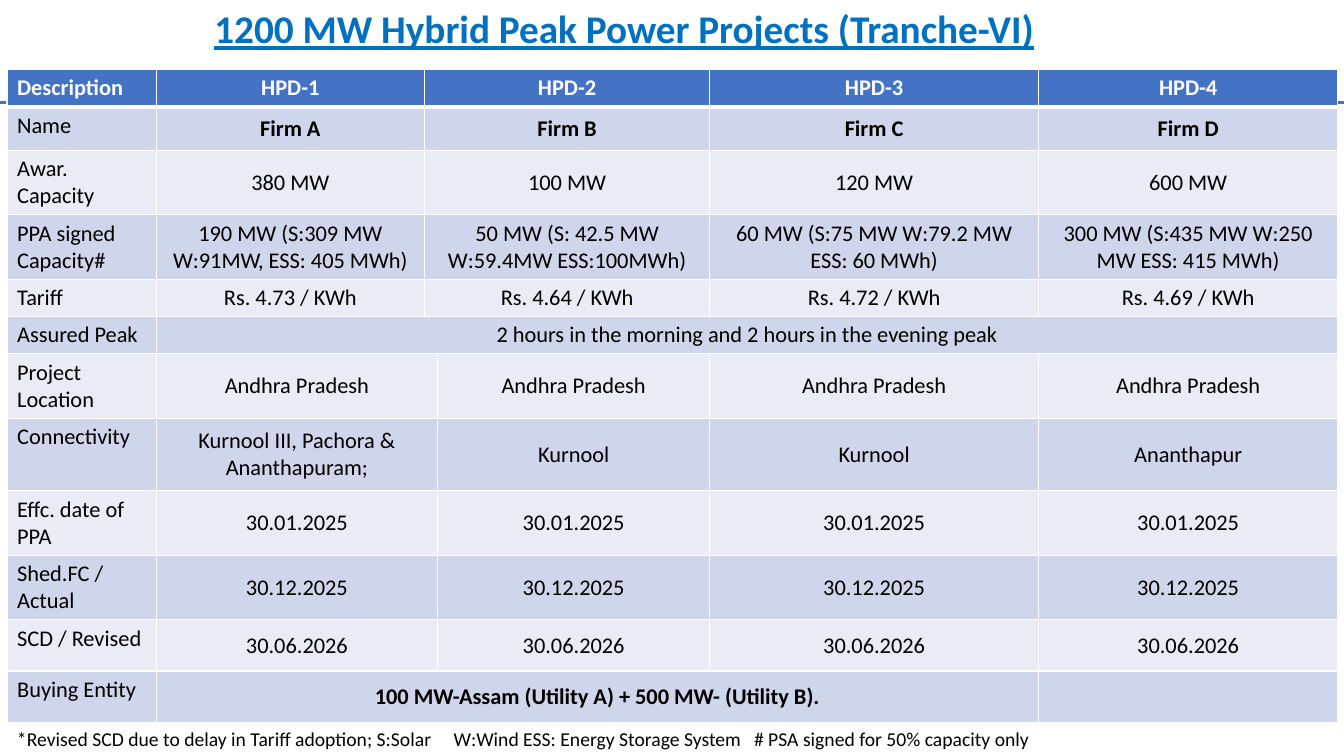
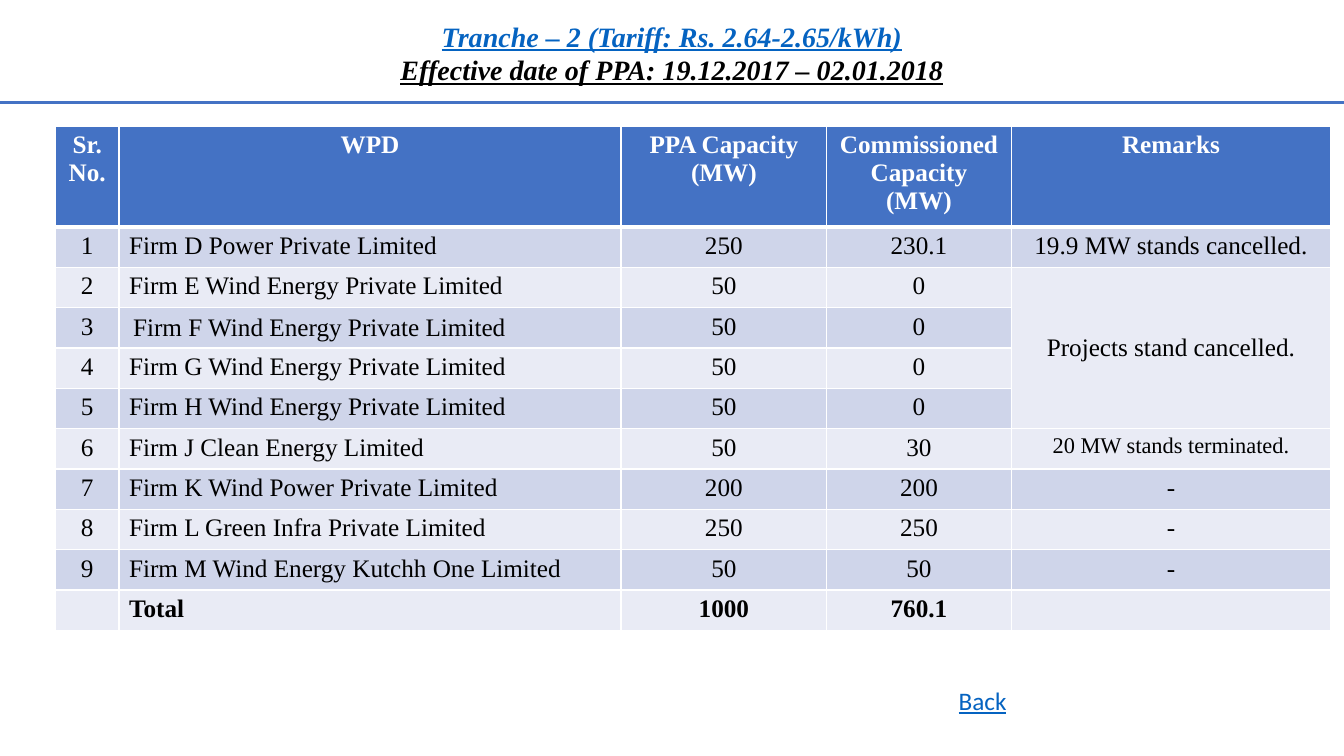
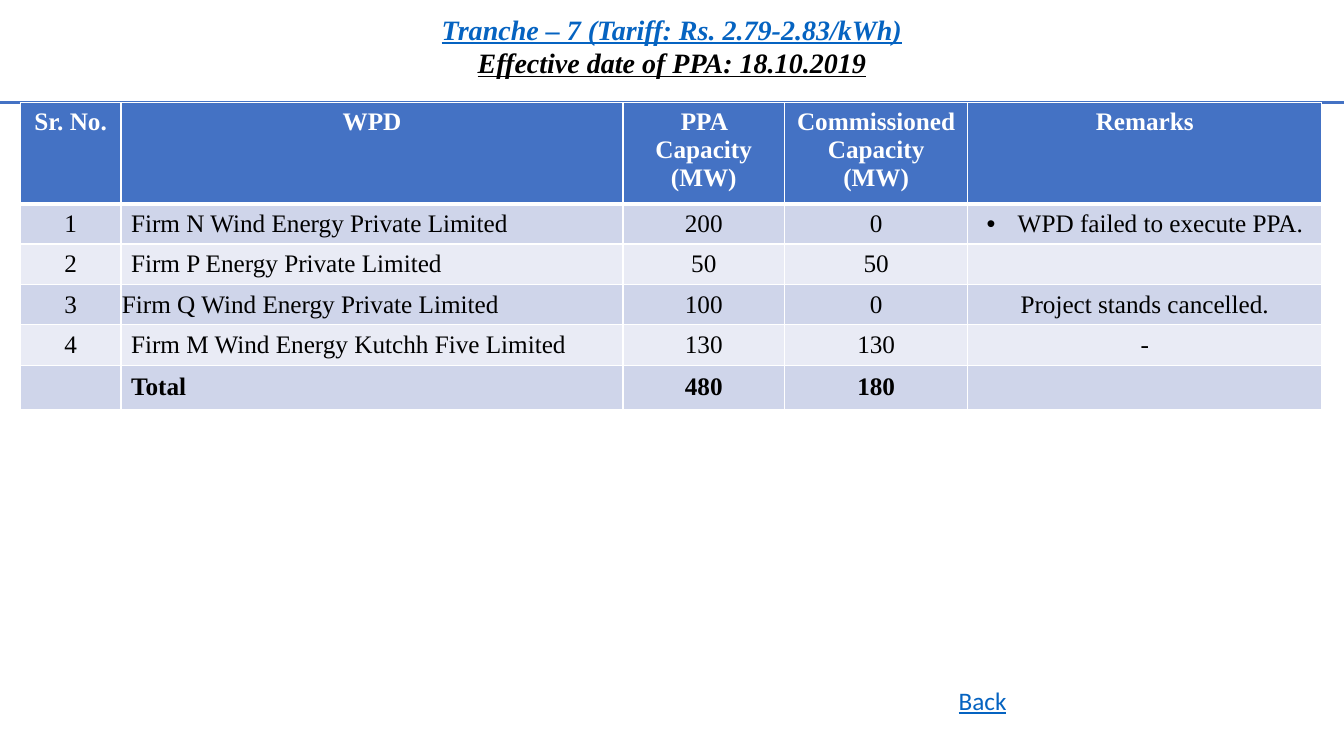
from dataclasses import dataclass, field

from lxml.etree import SubElement
from pptx import Presentation
from pptx.dml.color import RGBColor
from pptx.enum.shapes import MSO_CONNECTOR
from pptx.enum.text import MSO_ANCHOR, PP_ALIGN
from pptx.oxml import parse_xml
from pptx.oxml.ns import nsdecls, qn
from pptx.util import Inches, Pt


@dataclass(frozen=True)
class Theme:
    """Colours, fonts and type sizes shared by all slides."""

    accent: str = "4472C4"
    band_dark: str = "CFD5EA"
    band_light: str = "E9EBF5"
    white: str = "FFFFFF"
    ink: str = "000000"
    title: str = "0070C0"
    link: str = "0563C1"
    sans: str = "Calibri"
    serif: str = "Times New Roman"
    title_size: float = 28
    subtitle_size: float = 20
    large: float = 18
    medium: float = 16
    small: float = 14
    rule: float = 2.25
    grid: float = 1
    header_grid: float = 3


@dataclass
class TableLook:
    """Typography and alignment of one table."""

    font: str
    size: float
    left_column: int
    bold_rows: tuple
    anchor: MSO_ANCHOR
    left_anchor: MSO_ANCHOR
    header_anchor: MSO_ANCHOR = MSO_ANCHOR.TOP
    special: dict = field(default_factory=dict)


THEME = Theme()
SLIDE_WIDTH, SLIDE_HEIGHT = 13.33, 7.5
LEFT, UP = "<", "^"
BACK_BOX = (9.41, 6.75, 1.38, 0.4)

HYBRID_ROWS = [
    ["Description", "HPD-1", "HPD-2", LEFT, "HPD-3", "HPD-4"],
    ["Name", "Firm A", "Firm B", LEFT, "Firm C", "Firm D"],
    ["Awar. Capacity", "380 MW", "100 MW", LEFT, "120 MW", "600 MW"],
    ["PPA signed Capacity#", "190 MW (S:309 MW W:91MW, ESS: 405 MWh)",
     "50 MW (S: 42.5 MW W:59.4MW ESS:100MWh)", LEFT,
     "60 MW (S:75 MW W:79.2 MW ESS: 60 MWh)",
     "300 MW (S:435 MW W:250 MW ESS: 415 MWh)"],
    ["Tariff", "Rs. 4.73 / KWh", "Rs. 4.64 / KWh", LEFT, "Rs. 4.72 / KWh", "Rs. 4.69 / KWh"],
    ["Assured Peak", "2 hours in the morning and 2 hours in the evening peak"] + [LEFT] * 4,
    ["Project Location", "Andhra Pradesh", LEFT] + ["Andhra Pradesh"] * 3,
    ["Connectivity", "Kurnool III, Pachora & Ananthapuram;", LEFT, "Kurnool", "Kurnool", "Ananthapur"],
    ["Effc. date of PPA", "30.01.2025", LEFT] + ["30.01.2025"] * 3,
    ["Shed.FC / Actual", "30.12.2025", LEFT] + ["30.12.2025"] * 3,
    ["SCD / Revised", "30.06.2026", LEFT] + ["30.06.2026"] * 3,
    ["Buying Entity", "100 MW-Assam (Utility A) + 500 MW- (Utility B).", LEFT, LEFT, LEFT, ""],
]
WIND_HEADER = ["Sr. No.", "WPD", "PPA Capacity\n(MW)", "Commissioned Capacity\n(MW)", "Remarks"]
TRANCHE_2_ROWS = [
    WIND_HEADER,
    ["1", "Firm D Power Private Limited", "250", "230.1", "19.9 MW stands cancelled."],
    ["2", "Firm E Wind Energy Private Limited", "50", "0", "Projects stand cancelled."],
    ["3", "Firm F Wind Energy Private Limited", "50", "0", UP],
    ["4", "Firm G Wind Energy Private Limited", "50", "0", UP],
    ["5", "Firm H Wind Energy Private Limited", "50", "0", UP],
    ["6", "Firm J Clean Energy Limited", "50", "30", "20 MW stands terminated."],
    ["7", "Firm K Wind Power Private Limited", "200", "200", "-"],
    ["8", "Firm L Green Infra Private Limited", "250", "250", "-"],
    ["9", "Firm M Wind Energy Kutchh One Limited", "50", "50", "-"],
    ["", "Total", "1000", "760.1", ""],
]
TRANCHE_7_ROWS = [
    WIND_HEADER,
    ["1", "Firm N Wind Energy Private Limited", "200", "0", "WPD failed to execute PPA."],
    ["2", "Firm P Energy Private Limited", "50", "50", ""],
    ["3", "Firm Q Wind Energy Private Limited", "100", "0", "Project stands cancelled."],
    ["4", "Firm M Wind Energy Kutchh Five Limited", "130", "130", "-"],
    ["", "Total", "480", "180", ""],
]


def style_runs(paragraph, font, size, color, bold=False, italic=False, underline=False):
    """Format every run of a paragraph."""
    for run in paragraph.runs:
        run.font.name = font
        run.font.size = Pt(size)
        run.font.color.rgb = RGBColor.from_string(color)
        run.font.bold = bold
        run.font.italic = italic
        run.font.underline = underline


def add_text(slide, box, text, wrap=True):
    """Place a text box and return its text frame."""
    frame = slide.shapes.add_textbox(*map(Inches, box)).text_frame
    frame.word_wrap = wrap
    frame.text = text
    return frame


def add_bullet(paragraph, indent):
    """Give a paragraph a hanging round bullet."""
    properties = paragraph._p.get_or_add_pPr()
    properties.set("marL", str(Inches(indent)))
    properties.set("indent", str(-Inches(indent)))
    SubElement(properties, qn("a:buFont"), typeface="Arial")
    SubElement(properties, qn("a:buChar"), char="•")


def add_tabs(paragraph, stops):
    """Give a paragraph left tab stops."""
    tabs = SubElement(paragraph._p.get_or_add_pPr(), qn("a:tabLst"))
    for stop in stops:
        SubElement(tabs, qn("a:tab"), pos=str(Inches(stop)), algn="l")


def add_borders(cell, top, bottom):
    """Draw white borders around a cell."""
    widths = {"lnL": THEME.grid, "lnR": THEME.grid, "lnT": top, "lnB": bottom}
    properties = cell._tc.get_or_add_tcPr()
    for position, (edge, width) in enumerate(widths.items()):
        properties.insert(position, parse_xml(
            f'<a:{edge} {nsdecls("a")} w="{Pt(width)}"><a:solidFill>'
            f'<a:srgbClr val="{THEME.white}"/></a:solidFill></a:{edge}>'))


def merge_spans(table, rows):
    """Merge each cell with the LEFT and UP marks that follow it."""
    for r, row in enumerate(rows):
        for c, text in enumerate(row):
            if text in (LEFT, UP):
                continue
            last_row, last_column = r, c
            while last_column + 1 < len(row) and row[last_column + 1] == LEFT:
                last_column += 1
            while last_row + 1 < len(rows) and rows[last_row + 1][c] == UP:
                last_row += 1
            if (last_row, last_column) != (r, c):
                table.cell(r, c).merge(table.cell(last_row, last_column))


def fill_cell(cell, r, c, text, look):
    """Write and format one cell."""
    special = look.special.get((r, c), {})
    header = r == 0
    fill = THEME.accent if header else THEME.band_dark if r % 2 else THEME.band_light
    cell.fill.solid()
    cell.fill.fore_color.rgb = RGBColor.from_string(fill)
    add_borders(cell, THEME.header_grid if r == 1 else THEME.grid,
                THEME.header_grid if header else THEME.grid)
    if text in (LEFT, UP):
        return
    anchor = look.left_anchor if c == look.left_column else look.anchor
    cell.vertical_anchor = look.header_anchor if header else special.get("anchor", anchor)
    if "margin" in special:
        cell.margin_left = Inches(special["margin"])
    cell.text_frame.text = text
    align_left = c == look.left_column and (c == 0 or not header)
    for paragraph in cell.text_frame.paragraphs:
        paragraph.alignment = PP_ALIGN.LEFT if align_left else PP_ALIGN.CENTER
        if "bullet" in special:
            add_bullet(paragraph, special["bullet"])
        style_runs(paragraph, look.font, special.get("size", look.size),
                   THEME.white if header else THEME.ink,
                   bold=header or (r in look.bold_rows and c > 0))


def add_grid(slide, left, top, widths, heights, rows, look):
    """Place a banded table with the given column widths and row heights."""
    table = slide.shapes.add_table(
        len(rows), len(widths), Inches(left), Inches(top),
        Inches(sum(widths)), Inches(sum(heights))).table
    table.first_row = table.horz_banding = False
    for column, width in zip(table.columns, widths):
        column.width = Inches(width)
    for row, height in zip(table.rows, heights):
        row.height = Inches(height)
    merge_spans(table, rows)
    for r, row in enumerate(rows):
        for c, text in enumerate(row):
            fill_cell(table.cell(r, c), r, c, text, look)


def new_slide(deck):
    """Add a blank slide with the shared rule below the title."""
    slide = deck.slides.add_slide(deck.slide_layouts[6])
    rule = slide.shapes.add_connector(
        MSO_CONNECTOR.STRAIGHT, 0, Inches(1.02), Inches(SLIDE_WIDTH), Inches(1.02))
    rule.line.color.rgb = RGBColor.from_string(THEME.accent)
    rule.line.width = Pt(THEME.rule)
    SubElement(rule._element.spPr, qn("a:effectLst"))
    return slide


def add_hybrid_slide(deck):
    """Build the hybrid peak power slide."""
    slide = new_slide(deck)
    title = add_text(slide, (0.44, 0, 11.5, 0.62), "1200 MW Hybrid Peak Power Projects (Tranche-VI)")
    title.vertical_anchor = MSO_ANCHOR.MIDDLE
    heading = title.paragraphs[0]
    heading.alignment = PP_ALIGN.CENTER
    heading.line_spacing = 0.9
    style_runs(heading, THEME.sans, THEME.title_size, THEME.title, bold=True, underline=True)
    look = TableLook(THEME.sans, THEME.medium, 0, (1, 11),
                     MSO_ANCHOR.MIDDLE, MSO_ANCHOR.TOP, MSO_ANCHOR.MIDDLE)
    one_line, two_lines = 0.37, 0.64
    heights = [one_line, 0.43, two_lines, two_lines, one_line, one_line, two_lines,
               0.72, two_lines, two_lines, 0.51, 0.51]
    add_grid(slide, 0.07, 0.69, [1.48, 2.66, 0.13, 2.7, 3.26, 2.97], heights, HYBRID_ROWS, look)
    footnote = add_text(
        slide, (0.07, 7.16, 13.19, 0.34),
        "*Revised SCD due to delay in Tariff adoption; S:Solar\t"
        "W:Wind ESS: Energy Storage System\t# PSA signed for 50% capacity only").paragraphs[0]
    add_tabs(footnote, (4.33, 7.31))
    style_runs(footnote, THEME.sans, THEME.small, THEME.ink)


def add_wind_slide(deck, heading_box, tariff, date, wrap, origin, widths, heights, rows, look):
    """Build a wind tranche slide with heading, table and back label."""
    slide = new_slide(deck)
    heading = add_text(slide, heading_box, f"{tariff}\n{date}", wrap)
    for paragraph, color in zip(heading.paragraphs, (THEME.link, THEME.ink)):
        paragraph.alignment = PP_ALIGN.CENTER
        style_runs(paragraph, THEME.serif, THEME.subtitle_size, color,
                   bold=True, italic=True, underline=True)
    add_grid(slide, *origin, widths, heights, rows, look)
    back = add_text(slide, BACK_BOX, "Back").paragraphs[0]
    style_runs(back, THEME.sans, THEME.large, THEME.link, underline=True)


def main():
    """Build and save the deck."""
    deck = Presentation()
    deck.slide_width, deck.slide_height = Inches(SLIDE_WIDTH), Inches(SLIDE_HEIGHT)
    add_hybrid_slide(deck)
    add_wind_slide(
        deck, (3.85, 0.14, 5.63, 0.77), "Tranche – 2 (Tariff: Rs. 2.64-2.65/kWh)",
        "Effective date of PPA: 19.12.2017 – 02.01.2018", False, (0.55, 1.25),
        [0.63, 4.98, 2.04, 1.83, 3.17], [1] + [0.4] * 10, TRANCHE_2_ROWS,
        TableLook(THEME.serif, THEME.large, 1, (10,), MSO_ANCHOR.TOP, MSO_ANCHOR.TOP, special={
            (2, 4): {"anchor": MSO_ANCHOR.MIDDLE},
            (3, 1): {"anchor": MSO_ANCHOR.MIDDLE, "margin": 0.14},
            (6, 4): {"size": THEME.medium}}))
    add_wind_slide(
        deck, (4.25, 0.07, 4.83, 0.77), "Tranche – 7 (Tariff: Rs. 2.79-2.83/kWh)",
        "Effective date of PPA: 18.10.2019", True, (0.2, 1.02),
        [1, 4.98, 1.6, 1.82, 3.51], [1] + [0.4] * 4 + [0.44], TRANCHE_7_ROWS,
        TableLook(THEME.serif, THEME.large, 1, (5,), MSO_ANCHOR.MIDDLE, MSO_ANCHOR.MIDDLE, special={
            (1, 4): {"bullet": 0.31},
            (3, 1): {"margin": 0.01}}))
    deck.save("out.pptx")


if __name__ == "__main__":
    main()
